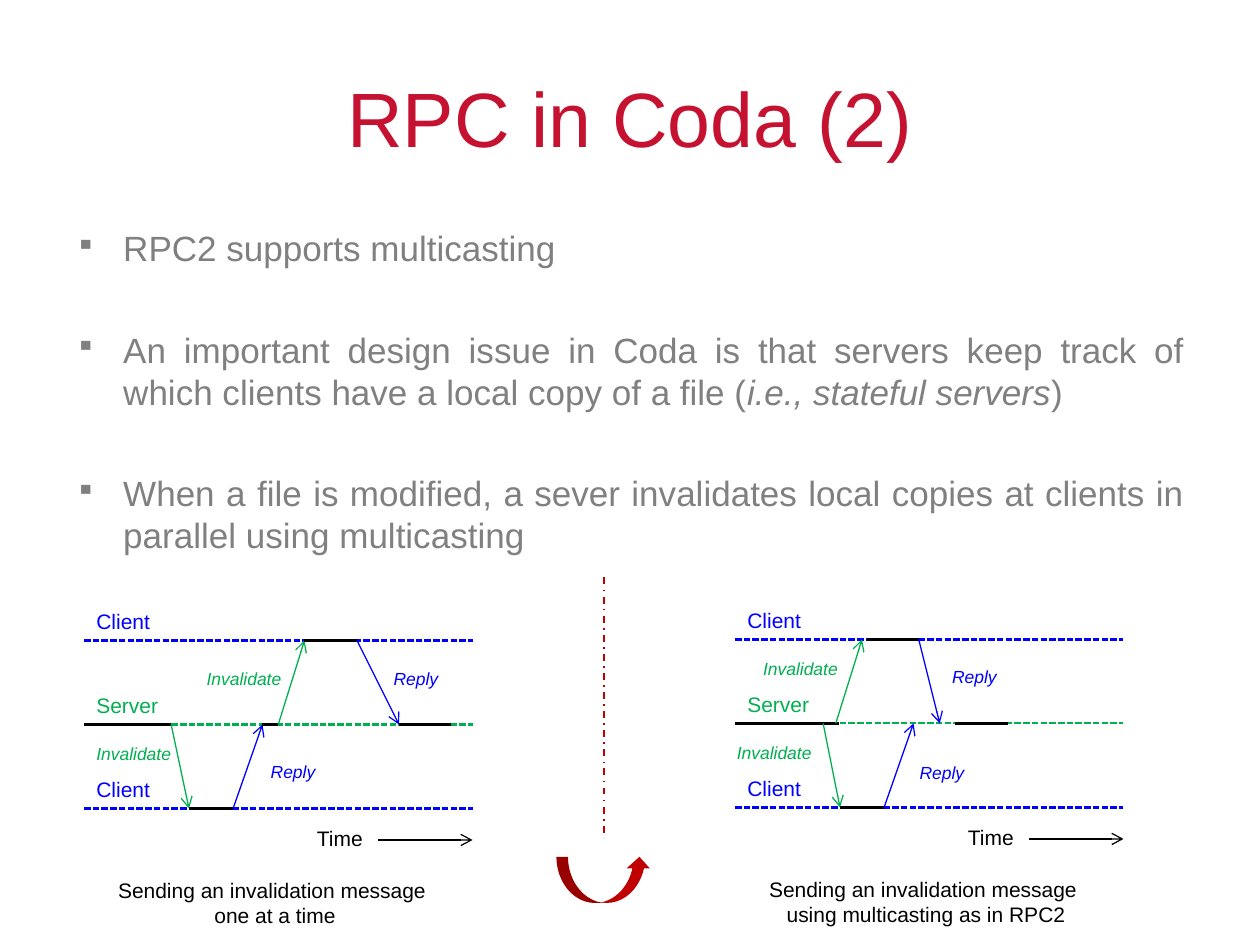
from lxml import etree
from pptx import Presentation, util as u
from pptx.dml.color import RGBColor
from pptx.enum import dml, shapes, text
from pptx.oxml import ns

RED = RGBColor(0xC4, 0x12, 0x30)
DARK = RGBColor(0xC0, 0x00, 0x00)
GREY = RGBColor(0x80, 0x80, 0x80)
BLUE = RGBColor(0x00, 0x00, 0xFF)
GREEN = RGBColor(0x00, 0xB0, 0x50)
BLACK = RGBColor(0x00, 0x00, 0x00)
FONT = "Arial"

CELL = u.Inches(1) / 12  # grid of twelve columns and rows to the inch
LANE = 8                 # rows between two time lines
SPAN = 37                # columns in a time line

POINTS = [
    [("RPC2 supports multicasting", False)],
    [("An important design issue in Coda is that servers keep track of "
      "which clients have a local copy of a file (", False),
     ("i.e., stateful servers", True), (")", False)],
    [("When a file is modified, a sever invalidates local copies at "
      "clients in parallel using multicasting", False)],
]

# Steps: from column, from lane, to column, to lane. Notes: word, column, row.
SINGLE = dict(
    caption="Sending an invalidation message \vone at a time",
    steps=[(0, 1, 8.3, 1), (8.3, 1, 10, 2), (10, 2, 14.2, 2),
           (14.2, 2, 17, 1), (17, 1, 18.5, 1), (18.5, 1, 21, 0),
           (21, 0, 26, 0), (26, 0, 30, 1), (30, 1, 35, 1)],
    notes=[("Invalidate", 0, 9.2), ("Invalidate", 10.5, 2),
           ("Reply", 16.6, 10.9), ("Reply", 28.3, 2)])
MULTI = dict(
    caption="Sending an invalidation message \vusing multicasting as in RPC2",
    steps=[(0, 1, 9.9, 1), (8.4, 1, 10, 2), (10, 2, 14.2, 2),
           (14.2, 2, 17, 1), (9.6, 1, 12.1, 0), (12.6, 0, 17.5, 0),
           (17.5, 0, 19.5, 1), (21, 1, 26, 1)],
    notes=[("Invalidate", 1.5, 1.2), ("Invalidate", -1, 9.2),
           ("Reply", 19.5, 1.9), ("Reply", 16.4, 11.1)])


def grid(*cells):
    return [round(c * CELL) for c in cells]


def rule(slide, ends, color, width, dash=None, arrow=False):
    line = slide.shapes.add_connector(
        shapes.MSO_CONNECTOR.STRAIGHT, *grid(*ends))
    line.line.color.rgb = color
    line.line.width = u.Pt(width)
    if dash:
        line.line.dash_style = dash
    if arrow:
        tail = etree.SubElement(line.line._get_or_add_ln(), ns.qn("a:tailEnd"))
        tail.set("type", "arrow")
    etree.SubElement(line._element.spPr, ns.qn("a:effectLst"))


def style(para, size, color, italic=None):
    font = para.font
    font.name, font.size, font.italic = FONT, u.Pt(size), italic
    font.color.rgb = color


def label(slide, words, box, color, size=12, italic=None, align=None):
    frame = slide.shapes.add_textbox(*grid(*box)).text_frame
    frame.word_wrap = False
    frame.auto_size = text.MSO_AUTO_SIZE.SHAPE_TO_FIT_TEXT
    para = frame.paragraphs[0]
    para.text = words
    para.alignment = align
    style(para, size, color, italic)


def heading(slide, box):
    title = slide.shapes.title
    title.left, title.top, title.width, title.height = grid(*box)
    title.text_frame.vertical_anchor = text.MSO_ANCHOR.MIDDLE
    para = title.text_frame.paragraphs[0]
    para.text = "RPC in Coda (2)"
    para.alignment = text.PP_ALIGN.CENTER
    style(para, 44, RED)


def bullets(slide, box):
    frame = slide.shapes.add_textbox(*grid(*box)).text_frame
    frame.word_wrap = True
    for i, runs in enumerate(POINTS):
        para = frame.add_paragraph() if i else frame.paragraphs[0]
        props = para._p.get_or_add_pPr()
        props.set("marL", str(u.Inches(0.38)))
        props.set("indent", str(u.Inches(-0.38)))
        para.alignment = text.PP_ALIGN.JUSTIFY
        if i:
            para.space_before = u.Pt(34)
        tint = etree.SubElement(props, ns.qn("a:buClr"))
        etree.SubElement(tint, ns.qn("a:srgbClr")).set("val", str(GREY))
        etree.SubElement(props, ns.qn("a:buSzPct")).set("val", "80000")
        etree.SubElement(props, ns.qn("a:buChar")).set("char", "▪")
        style(para, 20, GREY)
        for words, italic in runs:
            run = para.add_run()
            run.text = words
            if italic:
                run.font.italic = True


def timing(slide, left, top, caption, steps, notes):
    # Time lines with their owners
    lanes = [("Client", BLUE, 7.7), ("Server", GREEN, 8.4),
             ("Client", BLUE, 7.7)]
    for i, (name, color, width) in enumerate(lanes):
        y = top + i * LANE
        rule(slide, (left, y, left + SPAN, y), color, 1.25,
             dml.MSO_LINE.SQUARE_DOT)
        label(slide, name, (left, y - 3.6, width, 3.6), color)

    # Busy periods stay on a lane, messages cross between lanes
    for x1, a, x2, b in steps:
        ends = (left + x1, top + a * LANE, left + x2, top + b * LANE)
        if a == b:
            rule(slide, ends, BLACK, 2)
        else:
            rule(slide, ends, GREEN if a == 1 else BLUE, 0.75, arrow=True)
    for word, x, y in notes:
        width, color = (9.6, GREEN) if word == "Invalidate" else (6.9, BLUE)
        label(slide, word, (left + x, top + y, width, 3.2), color, 10, True)

    # Time axis and caption
    y = top + 19
    rule(slide, (left + 28, y, left + SPAN, y), BLACK, 0.75, arrow=True)
    label(slide, "Time", (left + 21, top + 17, 6.9, 3.6), BLACK)
    label(slide, caption, (left + 2, top + 22, 32.4, 6), BLACK,
          align=text.PP_ALIGN.CENTER)


def divider(slide, left, top):
    rule(slide, (left, top, left, top + 24.8), DARK, 1, dml.MSO_LINE.DASH_DOT)
    turn = slide.shapes.add_shape(
        shapes.MSO_SHAPE.CURVED_UP_ARROW,
        *grid(left - 4.5, top + 26.6, 9, 4.4))
    turn.shadow.inherit = False
    turn.fill.solid()
    turn.fill.fore_color.rgb = DARK
    turn.line.fill.background()


def main():
    deck = Presentation()
    deck.slide_width, deck.slide_height = u.Inches(10), u.Inches(7.5)
    slide = deck.slides.add_slide(deck.slide_layouts.get_by_name("Title Only"))
    heading(slide, (6, 3.6, 108, 15))
    bullets(slide, (6, 21, 108, 33))
    timing(slide, 8, 61, **SINGLE)
    divider(slide, 57.5, 55)
    timing(slide, 70, 60.9, **MULTI)
    deck.save("out.pptx")


if __name__ == "__main__":
    main()
